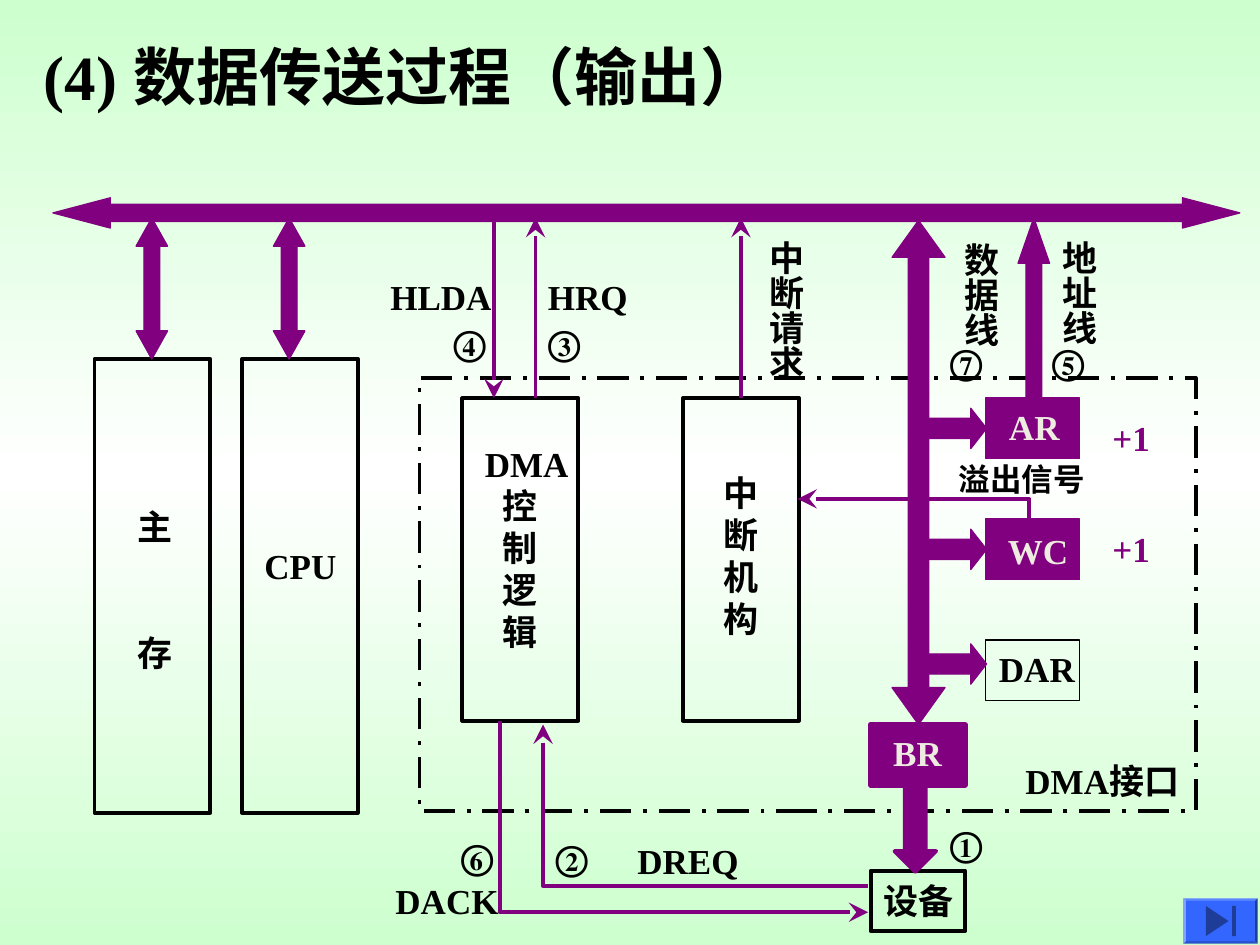
from copy import deepcopy

from lxml.etree import SubElement
from pptx import Presentation
from pptx.dml.color import RGBColor
from pptx.enum.dml import MSO_LINE
from pptx.enum.shapes import MSO_CONNECTOR, MSO_SHAPE
from pptx.enum.text import MSO_AUTO_SIZE
from pptx.oxml.ns import qn
from pptx.util import Inches, Pt

BLACK = RGBColor(0x00, 0x00, 0x00)
WHITE = RGBColor(0xFF, 0xFF, 0xFF)
PURPLE = RGBColor(0x80, 0x00, 0x80)
CREAM = RGBColor(0xEE, 0xEC, 0xE1)
GREEN = RGBColor(0xCD, 0xFF, 0xCE)
BLUE = RGBColor(0x33, 0x66, 0xFF)
FONT = "Times New Roman"

prs = Presentation()
prs.slide_width, prs.slide_height = Inches(10), Inches(7.5)
s = prs.slides.add_slide(prs.slide_layouts[6])

bg = s.background.fill
bg.gradient()
bg.gradient_angle = 90
first_stop = bg._fill._gradFill.gsLst[0]
first_stop.addnext(deepcopy(first_stop))
for stop, position, color in zip(bg.gradient_stops, (0, 0.5, 1), (GREEN, WHITE, GREEN)):
    stop.position = position
    stop.color.rgb = color


def add_block(kind, x, y, w, h, fill=None, line=BLACK, width=2.25, adj=()):
    sp = s.shapes.add_shape(kind, Inches(x), Inches(y), Inches(w), Inches(h))
    sp.shadow.inherit = False
    if fill is None:
        sp.fill.background()
    else:
        sp.fill.solid()
        sp.fill.fore_color.rgb = fill
    if line is None:
        sp.line.fill.background()
    else:
        sp.line.color.rgb = line
        sp.line.width = Pt(width)
    for i, value in enumerate(adj):
        sp.adjustments[i] = value
    if len(adj) == 2:
        # python-pptx names both guides of the up-down arrow adj1
        for i, guide in enumerate(sp._element.spPr.iter(qn("a:gd")), 1):
            guide.set("name", f"adj{i}")
    return sp


def add_label(lines, x, y, w, h, color=BLACK, size=20, vertical=False, wrap=False):
    """Add a bold text box with one paragraph per line and return its paragraphs."""
    tb = s.shapes.add_textbox(Inches(x), Inches(y), Inches(w), Inches(h))
    tf = tb.text_frame
    tf.word_wrap = wrap
    tf.auto_size = MSO_AUTO_SIZE.SHAPE_TO_FIT_TEXT
    if vertical:
        tf._txBody.bodyPr.set("vert", "eaVert")
        tf.margin_left = tf.margin_right = tf.margin_top = Inches(0.05)
        tf.margin_bottom = 0
    else:
        tf.margin_right = 0  # keeps narrow labels on one line
    for i, text in enumerate(lines):
        p = tf.add_paragraph() if i else tf.paragraphs[0]
        r = p.add_run()
        r.text = text
        r.font.name = FONT
        r.font.size = Pt(size)
        r.font.bold = True
        r.font.color.rgb = color
    return tf.paragraphs


# Outlined units and the dashed interface boundary
RECT = MSO_SHAPE.RECTANGLE
add_block(RECT, 6.91, 6.91, 0.75, 0.48)
add_block(RECT, 3.67, 3.16, 0.92, 2.56)
interrupt_unit = add_block(RECT, 5.42, 3.16, 0.92, 2.56)
add_block(RECT, 7.82, 5.08, 0.75, 0.48, width=0.75)
interface = add_block(RECT, 3.33, 3, 6.16, 3.44)
interface.line.dash_style = MSO_LINE.LONG_DASH_DOT
for x in (0.75, 1.92):
    add_block(RECT, x, 2.85, 0.92, 3.6)

# System bus and block arrows
add_block(MSO_SHAPE.LEFT_RIGHT_ARROW, 0.42, 1.57, 9.42, 0.24, PURPLE, PURPLE, 0.75, (0.568, 1.898))
for y in (3.24, 4.2, 5.11):
    add_block(MSO_SHAPE.RIGHT_ARROW, 7.33, y, 0.5, 0.32, PURPLE, PURPLE, 0.75, (0.5, 0.391))
for x in (1.08, 2.17):
    add_block(MSO_SHAPE.UP_DOWN_ARROW, x, 1.73, 0.25, 1.12, PURPLE, PURPLE, 0.75, (0.5, 0.896))
add_block(MSO_SHAPE.UP_DOWN_ARROW, 7.08, 1.75, 0.42, 4, PURPLE, PURPLE, 0.75, (0.383, 0.696))
add_block(MSO_SHAPE.UP_ARROW, 8.08, 1.73, 0.25, 1.44, PURPLE, PURPLE, 0.75, (0.5, 1.439))
add_block(MSO_SHAPE.DOWN_ARROW, 7.1, 6.25, 0.33, 0.67, PURPLE, PURPLE, 2.25, (0.5, 0.5))

# Signal lines
signals = []
for x, y1, y2 in ((3.92, 1.73, 3.16), (4.25, 3.16, 1.73), (5.88, 3.16, 1.73)):
    signals.append(s.shapes.add_connector(
        MSO_CONNECTOR.STRAIGHT, Inches(x), Inches(y1), Inches(x), Inches(y2)))
signals[-1].begin_connect(interrupt_unit, 0)

for points in (
    ((6.89, 7.03), (4.31, 7.03), (4.31, 5.75)),
    ((3.97, 5.72), (3.97, 7.24), (6.89, 7.24)),
    ((8.17, 4.12), (8.17, 3.96), (6.33, 3.96)),
):
    start, *rest = [(Inches(x), Inches(y)) for x, y in points]
    builder = s.shapes.build_freeform(*start)
    builder.add_line_segments(rest, close=False)
    route = builder.convert_to_shape()
    route.fill.background()
    signals.append(route)

for signal in signals:
    signal.line.color.rgb = PURPLE
    signal.line.width = Pt(2.25)
    SubElement(signal.line._get_or_add_ln(), qn("a:tailEnd"), type="stealth", w="lg", len="lg")
    SubElement(signal._element.spPr, qn("a:effectLst"))

# Filled registers
for x, y, width in ((7.82, 3.16, 0.75), (7.82, 4.12, 0.75), (6.91, 5.75, 3)):
    add_block(RECT, x, y, 0.75, 0.48, PURPLE, PURPLE, width)

# Labels
for text, x, y, w, color in (
    ("设备", 6.91, 6.93, 0.75, BLACK),
    ("DAR", 7.83, 5.09, 0.8, BLACK),
    ("DMA接口", 8.04, 5.98, 1.49, BLACK),
    ("CPU", 2, 4.27, 0.77, BLACK),
    ("DREQ", 4.96, 6.61, 1, BLACK),
    ("HRQ", 4.25, 2.14, 0.83, BLACK),
    ("HLDA", 3, 2.14, 1, BLACK),
    ("DACK", 3.04, 6.93, 1.02, BLACK),
    ("①", 7.44, 6.48, 0.48, BLACK),
    ("②", 4.31, 6.59, 0.48, BLACK),
    ("③", 4.25, 2.5, 0.48, BLACK),
    ("④", 3.5, 2.5, 0.48, BLACK),
    ("⑤", 8.25, 2.65, 0.48, BLACK),
    ("⑥", 3.56, 6.58, 0.48, BLACK),
    ("⑦", 7.44, 2.65, 0.48, BLACK),
    ("AR", 7.91, 3.17, 0.6, CREAM),
    ("WC", 7.9, 4.15, 0.68, CREAM),
    ("BR", 6.99, 5.76, 0.58, CREAM),
    ("+1", 8.73, 3.26, 0.5, PURPLE),
    ("+1", 8.73, 4.14, 0.5, PURPLE),
):
    add_label([text], x, y, w, 0.44, color)

for text, x, y, h in (
    ("地址线", 8.25, 1.81, 0.94),
    ("数据线", 7.47, 1.83, 0.94),
    ("中断请求", 5.92, 1.81, 1.22),
):
    add_label([text], x, y, 0.53, h, vertical=True)

add_label(["溢出信号"], 7.51, 3.6, 1.2, 0.4, size=18)
add_label("中断机构", 5.64, 3.69, 0.48, 1.44)

dma_lines = add_label(["DMA", *"控制逻辑"], 3.75, 3.46, 0.86, 1.77)
for p in dma_lines[1:]:
    p._p.get_or_add_pPr().set("marL", str(Inches(0.14)))

memory_lines = add_label("主存", 0.99, 3.96, 0.48, 1.44)
memory_lines[1].space_before = Pt(48)

add_label(["(4) 数据传送过程（输出）"], 0.25, 0.25, 6.25, 0.7, size=36, wrap=True)

# Bevelled button to the last slide
add_block(MSO_SHAPE.BEVEL, 9.39, 7.13, 0.59, 0.36, BLUE, None, adj=(0.06,))
add_block(MSO_SHAPE.ACTION_BUTTON_END, 9.42, 7.15, 0.54, 0.32, BLUE, None)

prs.save("out.pptx")
